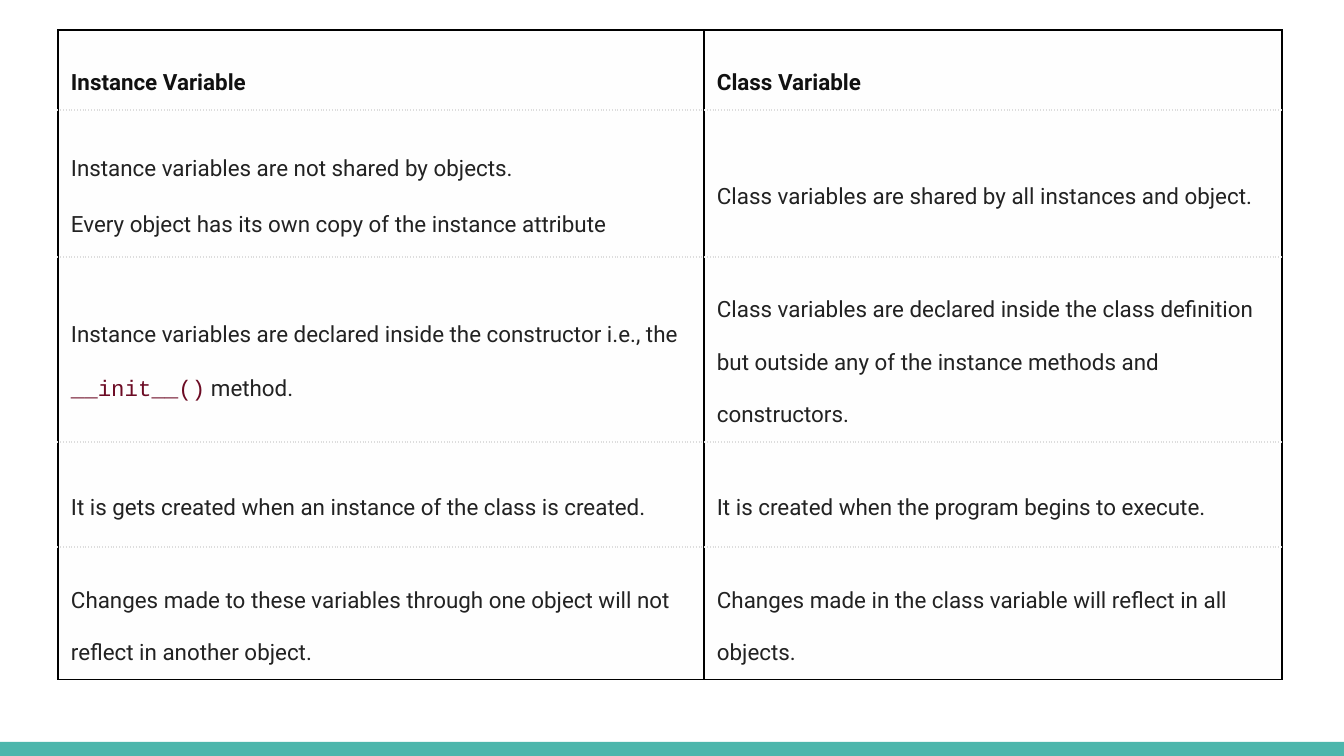
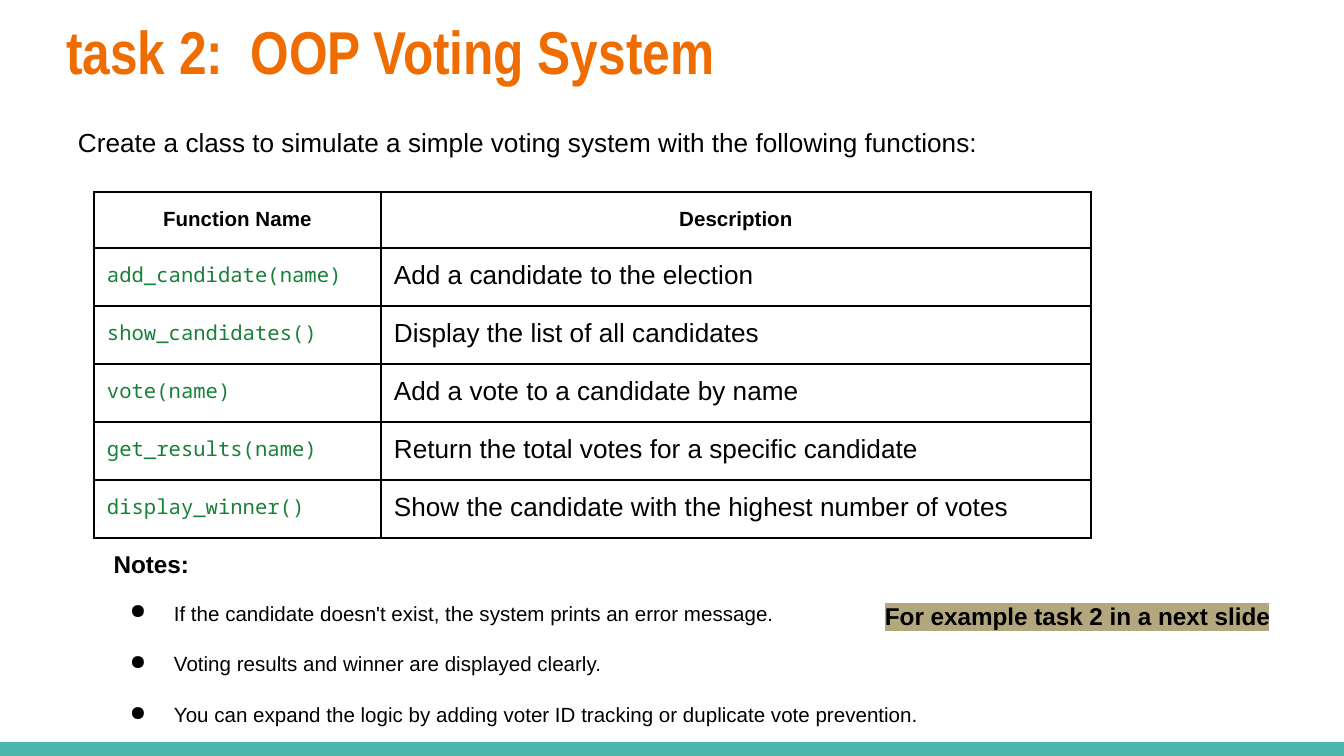
from lxml.etree import SubElement
from pptx import Presentation
from pptx.dml.color import RGBColor
from pptx.enum.shapes import MSO_SHAPE
from pptx.enum.text import MSO_ANCHOR, MSO_AUTO_SIZE, PP_ALIGN
from pptx.oxml import parse_xml
from pptx.oxml.ns import nsdecls, qn
from pptx.util import Pt

BLACK = RGBColor(0x00, 0x00, 0x00)
WHITE = RGBColor(0xFF, 0xFF, 0xFF)
PAPER = RGBColor(0xFE, 0xFE, 0xFE)
HEAD = RGBColor(0x11, 0x11, 0x11)
INK = RGBColor(0x22, 0x22, 0x22)
RULE = RGBColor(0xDD, 0xDD, 0xDD)
WINE = RGBColor(0x6C, 0x0B, 0x24)
GREEN = RGBColor(0x18, 0x80, 0x38)
ORANGE = RGBColor(0xEF, 0x6C, 0x00)
TEAL = RGBColor(0x4D, 0xB6, 0xAC)
SAND = RGBColor(0xB3, 0xA7, 0x7D)

WIDE, HIGH, PAD = 1344, 756, 13
SCALE = 9144000 / WIDE

# Each cell is a list of paragraphs; a paragraph is a string or a list of runs.
VARIABLES = [
    (["Instance Variable"], ["Class Variable"]),
    (["Instance variables are not shared by objects.",
      "Every object has its own copy of the instance attribute"],
     ["Class variables are shared by all instances and object."]),
    ([["Instance variables are declared inside the constructor i.e., the ",
       ("__init__()", {"face": "Courier New", "color": WINE}),
       " method."]],
     ["Class variables are declared inside the class definition but outside "
      "any of the instance methods and constructors."]),
    (["It is gets created when an instance of the class is created."],
     ["It is created when the program begins to execute."]),
    (["Changes made to these variables through one object will not reflect "
      "in another object."],
     ["Changes made in the class variable will reflect in all objects."]),
]

TITLE = "task 2:  OOP Voting System"
INTRO = ("Create a class to simulate a simple voting system with the "
         "following functions:")
FUNCTIONS = [
    (["Function Name"], ["Description"]),
    (["add_candidate(name)"], ["Add a candidate to the election"]),
    (["show_candidates()"], ["Display the list of all candidates"]),
    (["vote(name)"], ["Add a vote to a candidate by name"]),
    (["get_results(name)"],
     ["Return the total votes for a specific candidate"]),
    (["display_winner()"],
     ["Show the candidate with the highest number of votes"]),
]
NOTES = [
    " Notes:",
    "If the candidate doesn't exist, the system prints an error message.",
    "Voting results and winner are displayed clearly.",
    "You can expand the logic by adding voter ID tracking or duplicate vote "
    "prevention.",
]
HINT = "For example task 2 in a next slide"


def px(n):
    return round(n * SCALE)


def style(run, size=14, face="Arial", color=BLACK, bold=False, mark=None):
    font = run.font
    font.size, font.name, font.bold = Pt(size), face, bold
    font.color.rgb = color
    if mark is not None:
        fill = run._r.rPr.find(qn("a:solidFill"))
        fill.addnext(parse_xml(
            f'<a:highlight {nsdecls("a")}><a:srgbClr val="{mark}"/>'
            '</a:highlight>'))


def write(frame, paras, align=PP_ALIGN.LEFT, line=None, after=0, **look):
    """Fill a text frame; the look keywords go to every run."""
    for i, runs in enumerate(paras):
        para = frame.paragraphs[0] if i == 0 else frame.add_paragraph()
        para.alignment, para.space_after = align, Pt(after)
        para.space_before = Pt(0)
        if line:
            para.line_spacing = line
        for part in [runs] if isinstance(runs, str) else runs:
            text, extra = (part, {}) if isinstance(part, str) else part
            run = para.add_run()
            run.text = text
            style(run, **{**look, **extra})


def inset(area, anchor=MSO_ANCHOR.TOP):
    """Give a cell or a text frame the common margins."""
    area.margin_left = area.margin_right = px(PAD)
    area.margin_top = area.margin_bottom = px(PAD)
    area.vertical_anchor = anchor


def place(shape, x, y, w, h):
    shape.left, shape.top, shape.width, shape.height = map(px, (x, y, w, h))


def box(slide, x, y, w, h, paras, **look):
    frame = slide.shapes.add_textbox(*map(px, (x, y, w, h))).text_frame
    frame.word_wrap = True
    inset(frame)
    write(frame, paras, **look)
    return frame


def bullet(para):
    props = para._p.get_or_add_pPr()
    props.set("marL", str(px(67)))
    props.set("indent", str(px(-44)))
    color = SubElement(props, qn("a:buClr"))
    SubElement(color, qn("a:srgbClr")).set("val", str(BLACK))
    SubElement(props, qn("a:buChar")).set("char", "●")


def border(cell, soft):
    """Draw four solid edges, with those named in soft dotted and grey."""
    props = cell._tc.get_or_add_tcPr()
    for i, side in enumerate("LRTB"):
        color, dash = (RULE, "sysDot") if side in soft else (BLACK, "solid")
        props.insert(i, parse_xml(
            f'<a:ln{side} {nsdecls("a")} w="{Pt(0.75)}"><a:solidFill>'
            f'<a:srgbClr val="{color}"/></a:solidFill>'
            f'<a:prstDash val="{dash}"/></a:ln{side}>'))


def grid(slide, x, y, cols, rows, data, look, fill, anchor, dotted=False):
    """Add a table; look(row, col) gives the text format of a cell."""
    table = slide.shapes.add_table(
        len(rows), len(cols), *map(px, (x, y, sum(cols), sum(rows)))).table
    table.first_row = table.horz_banding = False
    for col, w in zip(table.columns, cols):
        col.width = px(w)
    for r, (row, h) in enumerate(zip(table.rows, rows)):
        row.height = px(h)
        soft = ("T" if r else "") + ("B" if r < len(rows) - 1 else "")
        for c, cell in enumerate(row.cells):
            cell.fill.solid()
            cell.fill.fore_color.rgb = fill
            inset(cell, anchor)
            write(cell.text_frame, data[r][c], **look(r, c))
            border(cell, soft if dotted else "")


def band(slide, master):
    """Put the bottom band on the master, behind everything."""
    bar = slide.shapes.add_shape(
        MSO_SHAPE.RECTANGLE, *map(px, (0, 742, WIDE, HIGH - 742)))
    bar.shadow.inherit = False
    bar.fill.solid()
    bar.fill.fore_color.rgb = TEAL
    bar.line.fill.background()
    master.element.cSld.spTree.insert(2, bar.element)


def prose(r, c):
    return dict(size=12, face="Roboto", color=INK if r else HEAD,
                bold=r == 0, line=2.0, after=2)


def listing(r, c):
    if r == 0:
        return dict(size=11, bold=True, align=PP_ALIGN.CENTER, line=1.15)
    if c == 0:
        return dict(size=11, face="Noto Sans Mono", color=GREEN)
    return dict(size=14)


def compare(slide):
    grid(slide, 58, 30, [646, 578], [80, 147, 185, 105, 133], VARIABLES,
         prose, PAPER, MSO_ANCHOR.MIDDLE, dotted=True)


def task(slide):
    title = slide.shapes.title
    place(title, 53, -1, 1252, 103)
    frame = title.text_frame
    frame.auto_size = MSO_AUTO_SIZE.NONE
    inset(frame, MSO_ANCHOR.MIDDLE)
    write(frame, [TITLE], size=32.4, face="Arial Narrow", color=ORANGE,
          bold=True)

    box(slide, 65, 109, 1122, 59, [INTRO], line=1.15)
    grid(slide, 94, 192, [287, 710], [56] + [58] * 5, FUNCTIONS,
         listing, WHITE, MSO_ANCHOR.TOP)

    head, *items = NOTES
    notes = box(slide, 94, 536, 1012, 220,
                [[(head, {"size": 13, "bold": True})], *items], size=11)
    for i, para in enumerate(notes.paragraphs[1:]):
        para.space_before = Pt(14 if i else 12)
        bullet(para)

    box(slide, 872, 588, 441, 56, [HINT], size=13, bold=True, mark=SAND)


def main():
    deck = Presentation()
    deck.slide_width, deck.slide_height = px(WIDE), px(HIGH)
    first = deck.slides.add_slide(deck.slide_layouts[6])
    band(first, deck.slide_master)
    compare(first)
    task(deck.slides.add_slide(deck.slide_layouts[5]))
    deck.save("out.pptx")


if __name__ == "__main__":
    main()
